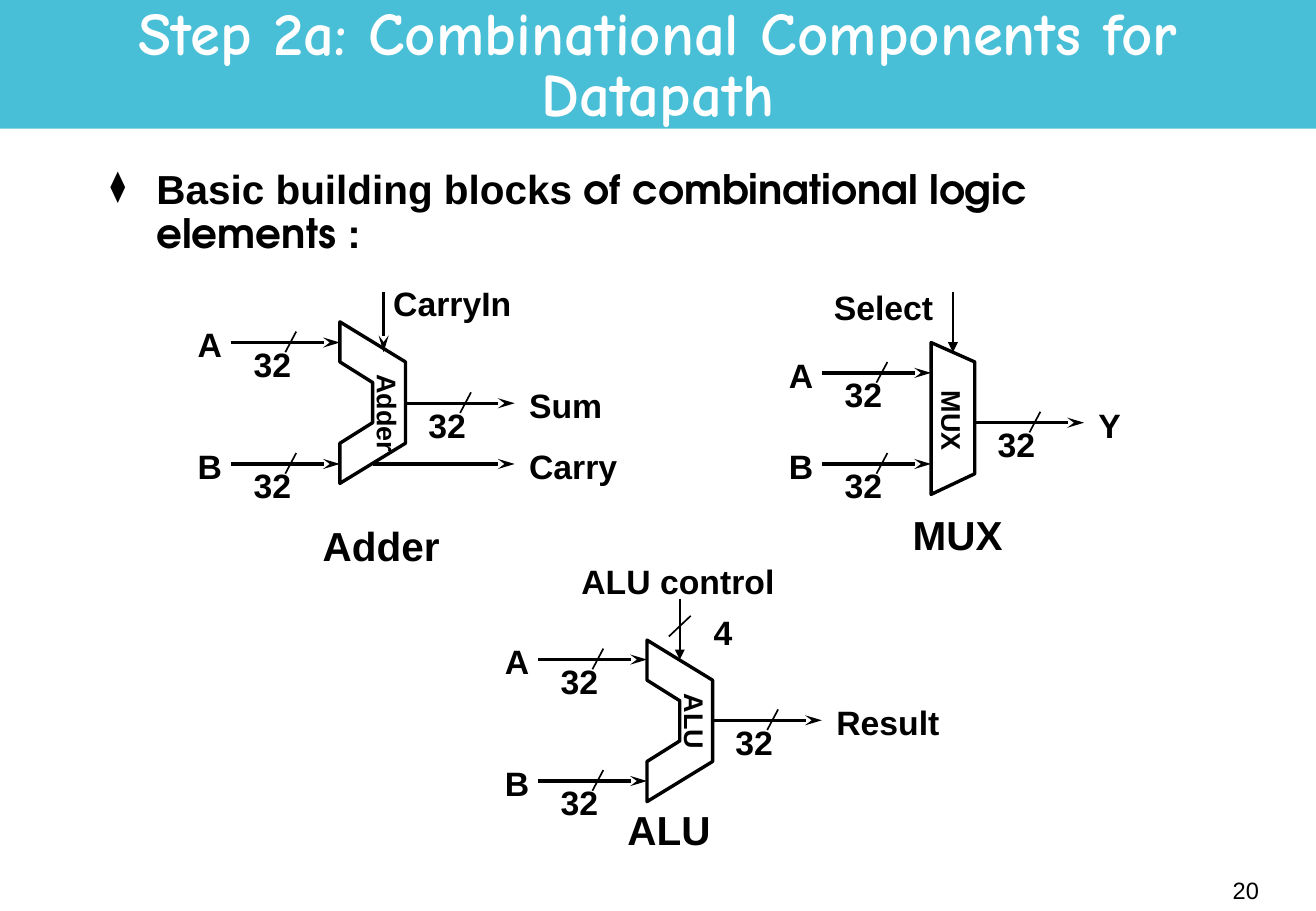
from dataclasses import dataclass

from lxml import etree
from pptx import Presentation
from pptx.dml.color import RGBColor
from pptx.enum.shapes import MSO_CONNECTOR, MSO_SHAPE
from pptx.enum.text import MSO_ANCHOR, MSO_AUTO_SIZE, PP_ALIGN
from pptx.oxml.ns import qn
from pptx.util import Inches, Pt

STRAIGHT = MSO_CONNECTOR.STRAIGHT
RECTANGLE = MSO_SHAPE.RECTANGLE
TOP, MIDDLE = MSO_ANCHOR.TOP, MSO_ANCHOR.MIDDLE
FIT_TEXT = MSO_AUTO_SIZE.SHAPE_TO_FIT_TEXT
LEFT, CENTER, RIGHT = PP_ALIGN.LEFT, PP_ALIGN.CENTER, PP_ALIGN.RIGHT

BLACK = RGBColor(0x00, 0x00, 0x00)
WHITE = RGBColor(0xFF, 0xFF, 0xFF)
BANNER_BLUE = RGBColor(0x49, 0xBF, 0xD7)

SLIDE_WIDTH, SLIDE_HEIGHT = 10.84, 7.5
WIRE_LENGTH = 0.9
THICK, THIN = 2, 1
STEALTH = {"type": "stealth", "len": "lg"}
TRIANGLE = {"type": "triangle"}
LABEL_HEIGHT = 0.43
LABEL_WIDTHS = {
    "A": 0.4, "B": 0.4, "Y": 0.39, "4": 0.36, "32": 0.51, "Sum": 0.81,
    "Carry": 0.93, "Result": 1.05, "CarryIn": 1.18, "Select": 1.17,
    "ALU control": 1.99,
}
# Labels whose box is wider than their text
ROOMY_LABELS = ("Select", "ALU control")

# Outline points, relative to the top left corner of a component
NOTCHED_BODY = [(0, 0), (0.54, 0.33), (0.54, 1), (0, 1.33), (0, 1),
                (0.27, 0.83), (0.27, 0.5), (0, 0.33)]
MUX_BODY = [(0, 0), (0.36, 0.16), (0.36, 1.08), (0, 1.25)]


@dataclass
class Component:
    name: str
    corner: tuple
    body: list
    inputs: dict
    output: tuple
    control: tuple
    control_label: tuple
    inner_center: tuple
    inner_width: float
    caption_offset: tuple
    caption_width: float
    control_line: tuple = (THIN, TRIANGLE)


ADDER = Component("Adder", (2.8, 2.65), NOTCHED_BODY, {"A": 0.17, "B": 1.17},
                  ("Sum", 0.67), (0.36, -0.25), ("CarryIn", 0.34, -0.37),
                  (0.39, 0.75), 0.84, (-0.24, 1.59), 1.17, (THICK, STEALTH))
MUX = Component("MUX", (7.67, 2.82), MUX_BODY, {"A": 0.25, "B": 1},
                ("Y", 0.66), (0.18, -0.42), ("Select", -0.9, -0.51),
                (0.17, 0.64), 0.69, (-0.25, 1.33), 0.94)
ALU = Component("ALU", (5.33, 5.27), NOTCHED_BODY, {"A": 0.16, "B": 1.16},
                ("Result", 0.66), (0.27, -0.34), ("ALU control", -0.64, -0.7),
                (0.39, 0.67), 0.66, (-0.26, 1.31), 0.89)


def add_run(paragraph, text, **font_format):
    run = paragraph.add_run()
    run.text = text
    settings = {"name": "Arial", "size": Pt(20), "bold": True} | font_format
    run.font.color.rgb = settings.pop("color", BLACK)
    for attribute, value in settings.items():
        setattr(run.font, attribute, value)


def add_box(slide, left, top, width, height, anchor=TOP, align=LEFT):
    """Add an empty wrapping text box; return it with its first paragraph."""
    box = slide.shapes.add_textbox(*map(Inches, (left, top, width, height)))
    box.text_frame.word_wrap = True
    box.text_frame.vertical_anchor = anchor
    paragraph = box.text_frame.paragraphs[0]
    paragraph.alignment = align
    return box, paragraph


def add_label(slide, text, left, top, width=None, height=LABEL_HEIGHT, size=20):
    """Add a bold one-line label that fits its text."""
    box, paragraph = add_box(slide, left, top, width or LABEL_WIDTHS[text], height)
    box.text_frame.word_wrap = text in ROOMY_LABELS
    box.text_frame.auto_size = FIT_TEXT
    add_run(paragraph, text, size=Pt(size))
    return box


def add_line(slide, start, end, weight=THIN, arrowhead=None):
    line = slide.shapes.add_connector(STRAIGHT, *map(Inches, (*start, *end)))
    line.line.color.rgb = BLACK
    line.line.width = Pt(weight)
    if arrowhead:
        outline = line._element.spPr.find(qn("a:ln"))
        etree.SubElement(outline, qn("a:tailEnd"), arrowhead)
    etree.SubElement(line._element.spPr, qn("a:effectLst"))


def add_bus(slide, x, y):
    """Draw a 32-bit wire running right from the given point."""
    add_line(slide, (x, y), (x + WIRE_LENGTH, y), THICK, STEALTH)
    add_line(slide, (x + 0.54, y - 0.09), (x + 0.45, y + 0.08))
    add_label(slide, "32", x + 0.09, y - 0.04)


def add_body(slide, x, y, points):
    corners = [(Inches(x + dx), Inches(y + dy)) for dx, dy in points]
    builder = slide.shapes.build_freeform(*corners[0], scale=1.0)
    builder.add_line_segments(corners[1:], close=True)
    body = builder.convert_to_shape()
    body.shadow.inherit = False
    body.fill.background()
    body.line.color.rgb = BLACK
    body.line.width = Pt(THICK)


def add_component(slide, part):
    x, y = part.corner
    add_body(slide, x, y, part.body)

    for operand, dy in part.inputs.items():
        add_bus(slide, x - WIRE_LENGTH, y + dy)
        add_label(slide, operand, x - 1.27, y + dy - 0.2)

    result, dy = part.output
    right = x + max(dx for dx, _ in part.body)
    add_bus(slide, right, y + dy)
    add_label(slide, result, right + 0.92, y + dy - 0.2)

    control_x, control_y = x + part.control[0], y + part.control[1]
    add_line(slide, (control_x, control_y), (control_x, control_y + 0.5),
             *part.control_line)
    control, dx, dy = part.control_label
    add_label(slide, control, x + dx, y + dy)

    center_x, center_y = part.inner_center
    inner = add_label(slide, part.name, x + center_x - part.inner_width / 2,
                      y + center_y - 0.18, part.inner_width, 0.37, 16)
    inner.rotation = 90
    dx, dy = part.caption_offset
    add_label(slide, part.name, x + dx, y + dy, part.caption_width, 0.5, 24)


def add_carry_out(slide, x, y):
    add_line(slide, (x + 0.27, y + 1.17), (x + 1.44, y + 1.17), THICK, STEALTH)
    add_label(slide, "Carry", x + 1.46, y + 0.97)


def add_control_width(slide, x, y):
    """Mark the control wire of the ALU as four bits wide."""
    add_line(slide, (x + 0.36, y - 0.2), (x + 0.18, y - 0.03))
    add_label(slide, "4", x + 0.45, y - 0.28)


def add_title(slide, left, top, width, height):
    banner = slide.shapes.add_shape(RECTANGLE, *map(Inches, (left, top, width, height)))
    banner.shadow.inherit = False
    banner.fill.solid()
    banner.fill.fore_color.rgb = BANNER_BLUE
    banner.line.fill.background()
    _, title = add_box(slide, left + 0.81, top + 0.06, width - 1.62, height - 0.07,
                       MIDDLE, CENTER)
    title.line_spacing = 0.85
    add_run(title, "Step 2a: Combinational Components for Datapath",
            name="Comic Neue", size=Pt(36), color=WHITE)


def add_statement(slide, left, top, width, height):
    _, statement = add_box(slide, left, top, width, height)
    statement.line_spacing = 0.9
    statement.space_before = Pt(4.5)
    for text, font in (("Basic building blocks", "Arial"),
                       (" of combinational logic elements", "TeX Gyre Adventor"),
                       (" :", "Arial")):
        add_run(statement, text, name=font, size=Pt(24))
    properties = statement._p.get_or_add_pPr()
    properties.set("marL", str(Inches(0.38)))
    properties.set("indent", str(Inches(-0.38)))
    color = etree.SubElement(properties, qn("a:buClr"))
    etree.SubElement(color, qn("a:srgbClr"), val=str(BLACK))
    etree.SubElement(properties, qn("a:buSzPct"), val="75000")
    etree.SubElement(properties, qn("a:buChar"), char="⧫")


def add_page_number(slide, left, top, width, height):
    _, number = add_box(slide, left, top, width, height, MIDDLE, RIGHT)
    add_run(number, "20", size=Pt(14), bold=False)


def main():
    deck = Presentation()
    deck.slide_width, deck.slide_height = Inches(SLIDE_WIDTH), Inches(SLIDE_HEIGHT)
    slide = deck.slides.add_slide(deck.slide_layouts[6])
    add_title(slide, 0, 0, SLIDE_WIDTH, 1.06)
    add_statement(slide, 0.81, 1.35, 9.21, 1)
    for component in (ADDER, MUX, ALU):
        add_component(slide, component)
    add_carry_out(slide, *ADDER.corner)
    add_control_width(slide, *ALU.corner)
    add_page_number(slide, 8.21, 7.08, 2.26, 0.5)
    deck.save("out.pptx")


if __name__ == "__main__":
    main()
